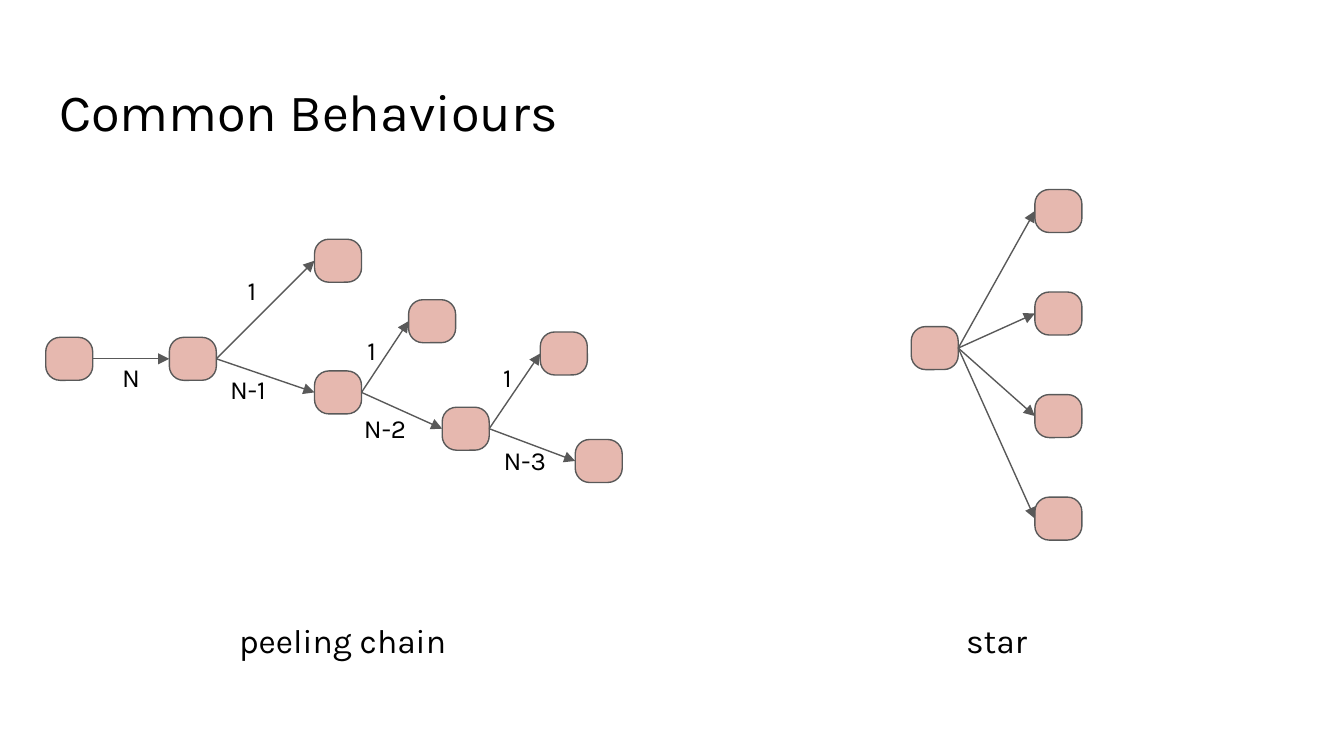
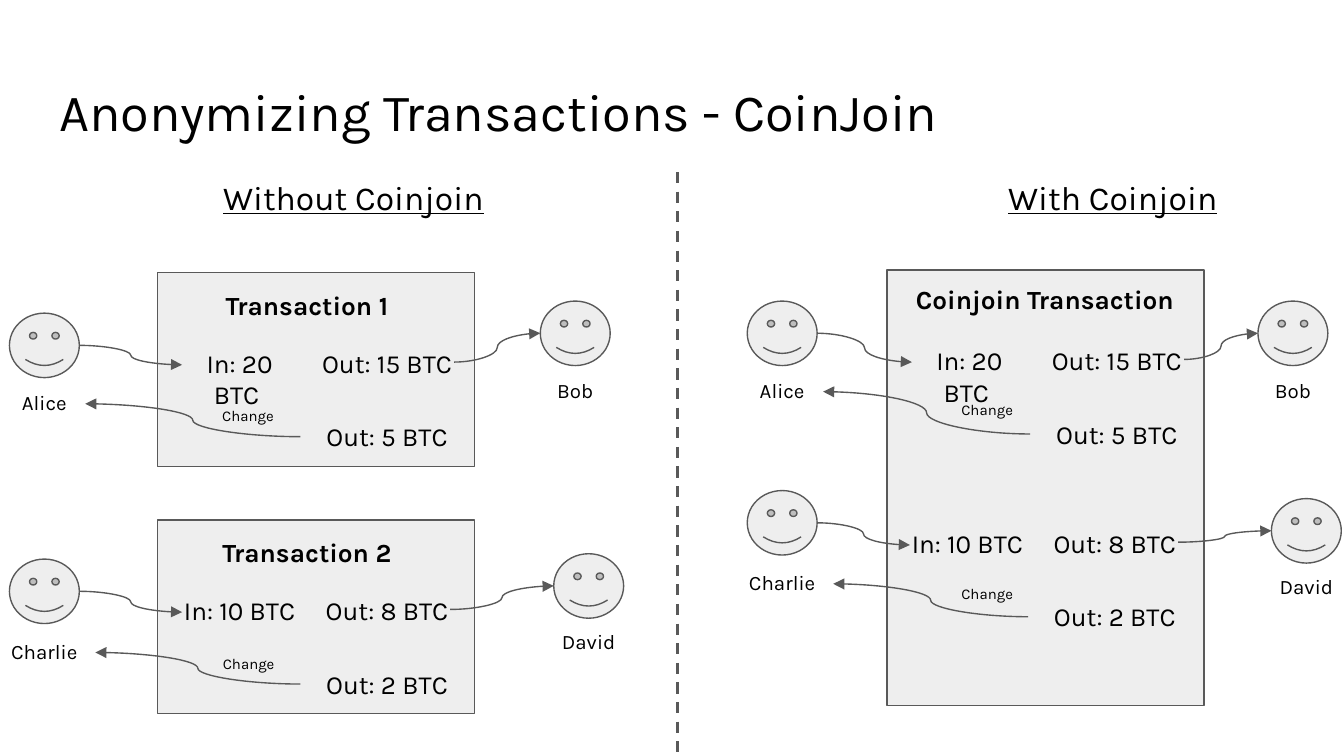
from collections import namedtuple

from lxml.etree import SubElement
from pptx import Presentation
from pptx.dml.color import RGBColor
from pptx.enum.dml import MSO_LINE
from pptx.enum.shapes import MSO_CONNECTOR, MSO_SHAPE
from pptx.enum.text import MSO_ANCHOR, MSO_AUTO_SIZE, PP_ALIGN
from pptx.oxml.ns import qn
from pptx.util import Inches, Pt

FONT = "Karla"
BLACK = RGBColor(0x00, 0x00, 0x00)
GRAY = RGBColor(0x59, 0x59, 0x59)
LIGHT = RGBColor(0xEE, 0xEE, 0xEE)
PINK = RGBColor(0xE6, 0xB8, 0xAF)

# Square grid: 100 columns across the 16:9 slide, all lengths below are in cells
SLIDE_W = Inches(10)
SLIDE_H = SLIDE_W * 9 // 16
CELL = SLIDE_W / 100
ROWS = SLIDE_H / CELL

NODE_W, NODE_H = 3.5, 3.2
FACE_W, FACE_H = 5.2, 4.8
LINE_H = 4.4

# Name label: width and drop below the top of the face
LABELS = {"Alice": (6.1, 4.8), "Bob": (6.1, 4.8),
          "Charlie": (7.6, 5), "David": (6.1, 4.7)}

Box = namedtuple("Box", "x y w h")


def emu(*cells):
    return [round(c * CELL) for c in cells]


def inside(box, x, y, w=0, h=0):
    return Box(box.x + x, box.y + y, w, h)


def write(tf, text, size=14, align=PP_ALIGN.CENTER, bold=False, underline=False):
    tf.word_wrap = True
    tf.vertical_anchor = MSO_ANCHOR.TOP
    tf.margin_left = tf.margin_right = tf.margin_top = tf.margin_bottom = Inches(0.1)
    p = tf.paragraphs[0]
    p.alignment = align
    r = p.add_run()
    r.text = text
    r.font.name, r.font.size = FONT, Pt(size)
    r.font.bold, r.font.underline = bold, underline
    r.font.color.rgb = BLACK


def add_text(shapes, box, text, **fmt):
    tf = shapes.add_textbox(*emu(*box)).text_frame
    write(tf, text, **fmt)
    tf.auto_size = MSO_AUTO_SIZE.SHAPE_TO_FIT_TEXT


def add_shape(shapes, kind, box, fill):
    sp = shapes.add_shape(kind, *emu(*box))
    sp.shadow.inherit = False
    sp.fill.solid()
    sp.fill.fore_color.rgb = fill
    sp.line.color.rgb = GRAY
    sp.line.width = Pt(0.75)
    return sp


def add_line(shapes, start, end, kind=MSO_CONNECTOR.STRAIGHT, width=0.75, arrow=True):
    cxn = shapes.add_connector(kind, *emu(*start, *end))
    cxn.line.color.rgb = GRAY
    cxn.line.width = Pt(width)
    SubElement(cxn._element.spPr, qn("a:effectLst"))
    if arrow:
        SubElement(cxn.line._get_or_add_ln(), qn("a:tailEnd"), type="triangle")
    return cxn


def add_curve(shapes, start, end):
    add_line(shapes, start, end, MSO_CONNECTOR.CURVE)


def title_slide(prs, title):
    s = prs.slides.add_slide(prs.slide_layouts[5])
    sp = s.shapes.title
    sp.left, sp.top, sp.width, sp.height = emu(3.4, 4.9, 93.2, 6.3)
    write(sp.text_frame, title, size=28, align=PP_ALIGN.LEFT)
    sp.text_frame.auto_size = MSO_AUTO_SIZE.NONE
    return s


# Graph parts
def add_node(shapes, box, x, y):
    sp = add_shape(shapes, MSO_SHAPE.ROUNDED_RECTANGLE,
                   inside(box, x, y, NODE_W, NODE_H), PINK)
    sp.adjustments[0] = 0.335
    return sp


def link(shapes, source, target):
    cxn = add_line(shapes, (0, 0), (1, 1))
    cxn.begin_connect(source, 3)
    cxn.end_connect(target, 1)


def peeling_chain(shapes, box):
    # Each step: next node, its label, side node, its label
    steps = [((9.2, 11), "N", (4.6, 11.8), None, None),
             ((20, 13.5), "N-1", (12.2, 12.7), (20, 3.7), (13.6, 5.3)),
             ((29.5, 16.2), "N-2", (22.4, 15.6), (27, 8.2), (22.5, 9.8)),
             ((39.4, 18.6), "N-3", (32.8, 18), (36.8, 10.6), (32.6, 11.8))]
    node = add_node(shapes, box, 0, 11)
    for spot, label, label_at, side, side_label_at in steps:
        following = add_node(shapes, box, *spot)
        link(shapes, node, following)
        width = 3.5 if len(label) == 1 else 5.7
        add_text(shapes, inside(box, *label_at, width, LINE_H), label)
        if side:
            link(shapes, node, add_node(shapes, box, *side))
            add_text(shapes, inside(box, *side_label_at, 3.5, LINE_H), "1")
        node = following
    add_text(shapes, inside(box, 13.4, box.h - 5, 21.5, 5), "peeling chain",
             size=18, align=PP_ALIGN.LEFT)


def star(shapes, box, leaves=4, pitch=7.63):
    hub = add_node(shapes, box, 0, 10.2)
    for i in range(leaves):
        link(shapes, hub, add_node(shapes, box, 9.2, i * pitch))
    add_text(shapes, inside(box, 1.3, box.h - 5, 10.1, 5), "star", size=18)


# Payment parts
def person(shapes, name, face):
    """Face with its name; returns the box of the name."""
    grp = shapes.add_group_shape().shapes
    add_shape(grp, MSO_SHAPE.SMILEY_FACE, face, LIGHT)
    width, drop = LABELS[name]
    label = inside(face, (FACE_W - width) / 2, drop, width, 3.9)
    add_text(grp, label, name, size=11)
    return label


def transaction(shapes, box, title, title_box):
    add_shape(shapes, MSO_SHAPE.RECTANGLE, box, LIGHT)
    add_text(shapes, inside(box, *title_box, LINE_H), title, bold=True)


def payment(shapes, box, payer, payer_at, payee, payee_at, amounts, change_at):
    """One payment; the top of the box is the row of the amounts."""
    paid, sent, change = amounts
    payer_face = inside(box, *payer_at, FACE_W, FACE_H)
    payee_face = inside(box, *payee_at, FACE_W, FACE_H)
    label = person(shapes, payer, payer_face)
    person(shapes, payee, payee_face)

    # Amounts
    add_text(shapes, inside(box, 12.05, 0, 11.1, LINE_H), f" In: {paid} BTC")
    for y, amount in ((0, sent), (5.45, change)):
        add_text(shapes, inside(box, 22.35, y, 12.9, LINE_H), f"Out: {amount} BTC")

    # Arrows
    add_curve(shapes, inside(payer_face, FACE_W, FACE_H / 2)[:2],
              inside(box, 13.55, 2.3)[:2])
    add_curve(shapes, inside(box, 33.8 if sent > 9 else 33.5, 2.1)[:2],
              inside(payee_face, 0, FACE_H / 2)[:2])
    add_curve(shapes, inside(box, 22.35, 7.65)[:2],
              inside(label, label.w, label.h / 2)[:2])
    add_text(shapes, inside(box, *change_at, 6.5, 3.4), "Change", size=8)


def without_coinjoin(shapes, box):
    add_text(shapes, inside(box, 12.5, 12.2, 27.6, 5), "Without Coinjoin",
             size=18, underline=True)
    for i, top in enumerate((20.3, 38.7), 1):
        transaction(shapes, inside(box, 11.7, top, 23.6, 14.4),
                    f"Transaction {i}", (2.8, 0.2, 16.7))
    payment(shapes, inside(box, 0, 24.85), "Alice", (0.7, -1.55),
            "Bob", (40.2, -2.45), (20, 15, 5), (15.2, 4.75))
    payment(shapes, inside(box, 0, 43.25), "Charlie", (0.7, -1.65),
            "David", (41.2, -2.05), (10, 8, 2), (15.25, 4.8))


def with_coinjoin(shapes, box):
    add_text(shapes, inside(box, 14.7, 12.2, 27.6, 5), "With Coinjoin",
             size=18, underline=True)
    transaction(shapes, inside(box, 11.7, 20.1, 23.6, 32.4),
                "Coinjoin Transaction", (0.2, 0, 23.1))
    payment(shapes, inside(box, 0, 24.65), "Alice", (1.3, -2.25),
            "Bob", (39.3, -2.25), (20, 15, 5), (15.9, 4.5))
    payment(shapes, inside(box, -0.15, 38.25), "Charlie", (1.45, -1.75),
            "David", (40.45, -1.15), (10, 8, 2), (16.05, 4.6))


def behaviours_slide(prs):
    shapes = title_slide(prs, "Common Behaviours").shapes
    peeling_chain(shapes, Box(3.4, 14.1, 43, 36))
    star(shapes, Box(67.8, 14.1, 13, 36))


def coinjoin_slide(prs):
    shapes = title_slide(prs, "Anonymizing Transactions - CoinJoin").shapes
    without_coinjoin(shapes, Box(0, 0, 50.4, ROWS))
    with_coinjoin(shapes, Box(54.3, 0, 45.7, ROWS))
    divider = add_line(shapes, (50.4, 12.8), (50.4, 56.1), width=1.5, arrow=False)
    divider.line.dash_style = MSO_LINE.DASH


def main():
    prs = Presentation()
    prs.slide_width, prs.slide_height = SLIDE_W, SLIDE_H
    behaviours_slide(prs)
    coinjoin_slide(prs)
    prs.save("out.pptx")


if __name__ == "__main__":
    main()
